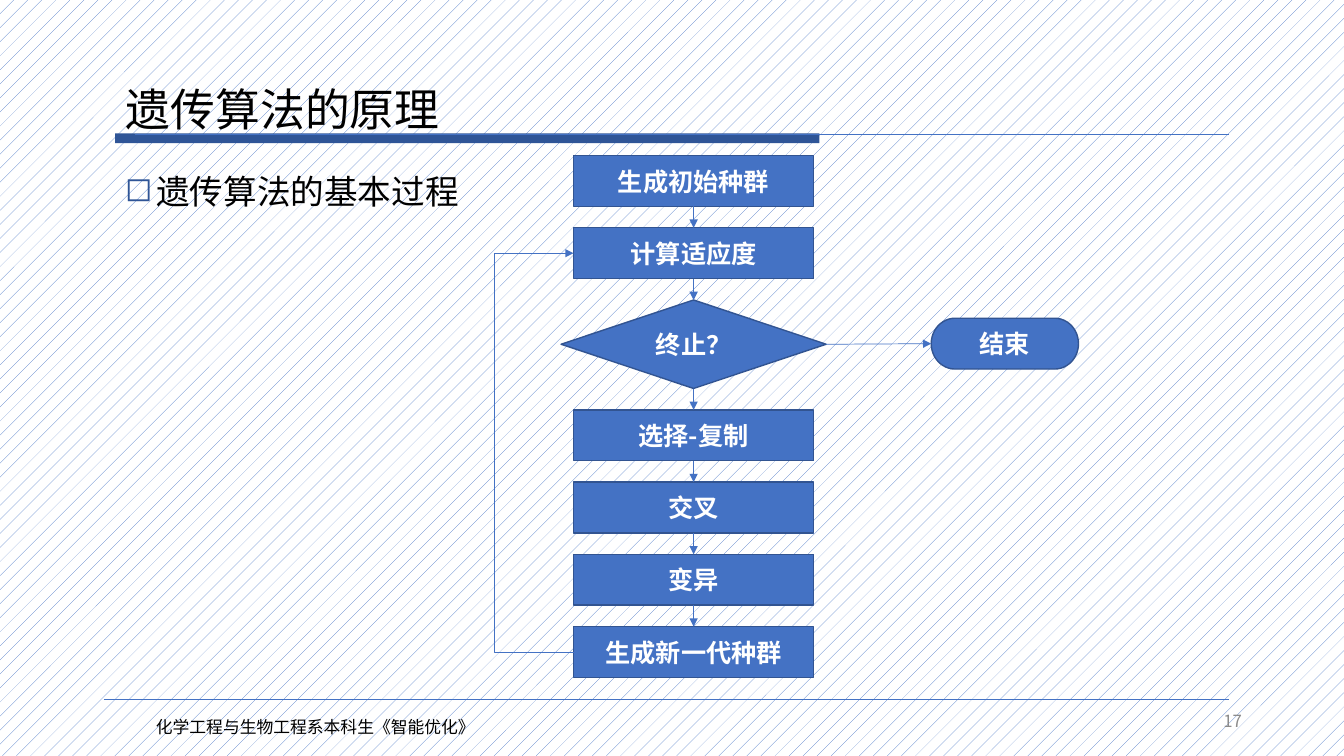
from lxml.etree import SubElement
from pptx import Presentation
from pptx.dml.color import RGBColor
from pptx.enum.dml import MSO_PATTERN
from pptx.enum.shapes import MSO_CONNECTOR, MSO_SHAPE
from pptx.enum.text import MSO_ANCHOR, MSO_AUTO_SIZE, PP_ALIGN
from pptx.oxml.ns import qn
from pptx.util import Cm, Pt

TITLE = "遗传算法的原理"
BULLET = "遗传算法的基本过程"
FOOTER = "化学工程与生物工程系本科生《智能优化》"
PAGE = "17"
TEST = "终止？"
STEPS = ["生成初始种群", "计算适应度", TEST, "选择-复制", "交叉", "变异", "生成新一代种群"]
LOOP_TARGET = 1
END = "结束"

SANS, SERIF = "Noto Sans CJK SC", "Times New Roman"
BLUE, DARK_BLUE, OUTLINE = "4472C4", "2F5597", "325491"
BLACK, WHITE, GRAY = "000000", "FFFFFF", "8C8C8C"

# Flowchart geometry in centimetres
CENTER, FLOW_TOP, GAP = 17.48, 3.92, 0.54
STEP_SIZE, TEST_SIZE, END_SIZE = (6.05, 1.28), (6.68, 2.23), (3.71, 1.28)
END_LEFT, END_TOP = 23.47, 8.02
LOOP_LEFT, LOOP_WIDTH = 12.47, 0.02


def rgb(hex_color):
    return RGBColor.from_string(hex_color)


def write(shape, text, size, color, font=SANS, bold=False,
          align=PP_ALIGN.LEFT, anchor=MSO_ANCHOR.TOP, wrap=True):
    frame = shape.text_frame
    frame.text = text
    frame.auto_size = MSO_AUTO_SIZE.NONE
    frame.word_wrap = wrap
    frame.vertical_anchor = anchor
    paragraph = frame.paragraphs[0]
    paragraph.alignment = align
    run = paragraph.runs[0]
    run.font.size, run.font.bold, run.font.name = Pt(size), bold, font
    run.font.color.rgb = rgb(color)
    SubElement(run.font._element, qn("a:ea"), typeface=SANS)
    return paragraph


def add_text(left, top, width, height, *args, **kwargs):
    box = slide.shapes.add_textbox(Cm(left), Cm(top), Cm(width), Cm(height))
    return write(box, *args, **kwargs)


def add_line(x1, y1, x2, y2, width=1, kind=MSO_CONNECTOR.STRAIGHT, arrow=False):
    line = slide.shapes.add_connector(kind, Cm(x1), Cm(y1), Cm(x2), Cm(y2))
    line.line.color.rgb = rgb(BLUE)
    line.line.width = Pt(width)
    if arrow:
        SubElement(line.line._get_or_add_ln(), qn("a:tailEnd"), type="triangle")
    SubElement(line._element.spPr, qn("a:effectLst"))
    return line


def add_node(kind, left, top, size, text):
    node = slide.shapes.add_shape(kind, Cm(left), Cm(top), *map(Cm, size))
    node.shadow.inherit = False
    node.fill.solid()
    node.fill.fore_color.rgb = rgb(BLUE)
    node.line.color.rgb = rgb(OUTLINE)
    node.line.width = Pt(1)
    write(node, text, 18, WHITE, bold=True,
          align=PP_ALIGN.CENTER, anchor=MSO_ANCHOR.MIDDLE)
    return node


def link(source, source_site, target, target_site):
    """Join two nodes with an arrow; sites count top, left, bottom, right."""
    arrow = add_line(0, 0, 1, 1, width=0.5, arrow=True)
    arrow.begin_connect(source, source_site)
    arrow.end_connect(target, target_site)


deck = Presentation()
deck.slide_width, deck.slide_height = Cm(33.87), Cm(19.05)
slide = deck.slides.add_slide(deck.slide_layouts[5])

backdrop = slide.background.fill
backdrop.patterned()
backdrop.pattern = MSO_PATTERN.PERCENT_5
backdrop.fore_color.rgb = rgb(BLUE)
backdrop.back_color.rgb = rgb(WHITE)

# Frame: title, rules, bullet and footer
bar = slide.shapes.add_shape(MSO_SHAPE.RECTANGLE, Cm(2.9), Cm(3.36), Cm(17.75), Cm(0.25))
bar.shadow.inherit = False
bar.fill.solid()
bar.fill.fore_color.rgb = rgb(DARK_BLUE)
bar.line.fill.background()
add_line(3.4, 3.39, 30.96, 3.39)
add_line(2.62, 17.63, 30.96, 17.63)

title = slide.shapes.title
title.left, title.top, title.width, title.height = map(Cm, (2.92, 1.93, 27.25, 1.63))
write(title, TITLE, 32, BLACK)

bullet = add_text(2.9, 4.19, 11, 1.27, BULLET, 24, BLACK, font=SERIF)
properties = bullet._p.get_or_add_pPr()
properties.set("marL", str(Cm(0.79)))
properties.set("indent", str(-Cm(0.79)))
bullet_color = SubElement(properties, qn("a:buClr"))
SubElement(bullet_color, qn("a:srgbClr"), val=DARK_BLUE)
SubElement(properties, qn("a:buChar"), char="◻")

add_text(23.93, 17.65, 7.62, 1.02, PAGE, 12, GRAY,
         align=PP_ALIGN.RIGHT, anchor=MSO_ANCHOR.MIDDLE)
add_text(3.68, 17.93, 8.84, 0.76, FOOTER, 12, BLACK, wrap=False)

# Flowchart: one column, with the end to the right of the test
nodes = []
top = FLOW_TOP
for step in STEPS:
    is_test = step == TEST
    kind = MSO_SHAPE.FLOWCHART_DECISION if is_test else MSO_SHAPE.FLOWCHART_PROCESS
    width, height = TEST_SIZE if is_test else STEP_SIZE
    nodes.append(add_node(kind, CENTER - width / 2, top, (width, height), step))
    top += height + GAP
end = add_node(MSO_SHAPE.FLOWCHART_TERMINATOR, END_LEFT, END_TOP, END_SIZE, END)

for upper, lower in zip(nodes, nodes[1:]):
    link(upper, 2, lower, 0)
link(nodes[STEPS.index(TEST)], 3, end, 1)

# The loop is turned half round, so it runs from the last step up to its target
loop_x = CENTER - STEP_SIZE[0] / 2
target_y, last_y = ((node.top + node.height / 2) / Cm(1)
                    for node in (nodes[LOOP_TARGET], nodes[-1]))
loop = add_line(loop_x, target_y, loop_x + LOOP_WIDTH, last_y, width=0.5,
                kind=MSO_CONNECTOR.ELBOW, arrow=True)
loop._element.spPr.find(qn("a:xfrm")).set("rot", "10800000")
bend = round((loop_x + LOOP_WIDTH - LOOP_LEFT) / LOOP_WIDTH * 100000)
adjustments = loop._element.spPr.find(qn("a:prstGeom")).find(qn("a:avLst"))
SubElement(adjustments, qn("a:gd"), name="adj1", fmla=f"val {bend}")

deck.save("out.pptx")
